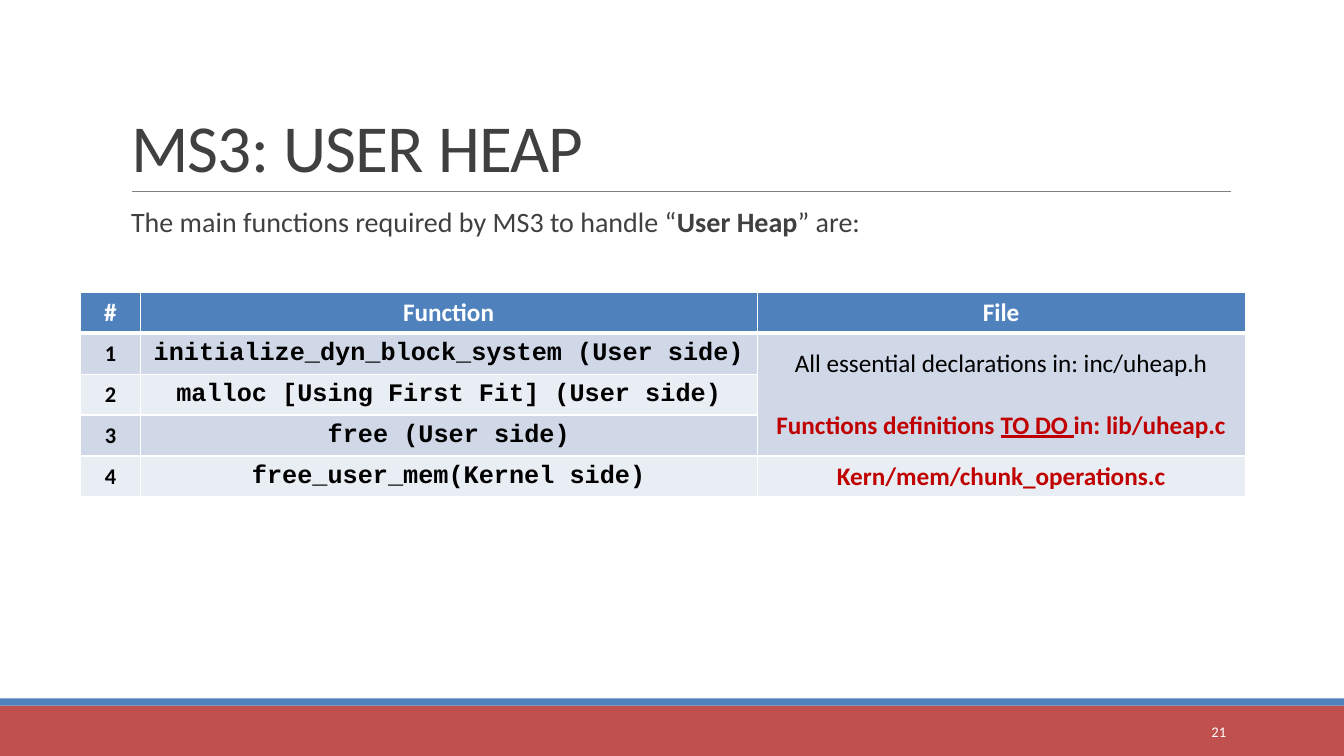
from lxml import etree
from pptx import Presentation
from pptx.dml.color import RGBColor
from pptx.enum.shapes import MSO_CONNECTOR, MSO_SHAPE
from pptx.enum.text import MSO_ANCHOR, MSO_AUTO_SIZE, PP_ALIGN
from pptx.oxml.ns import qn
from pptx.util import Inches, Pt

RECTANGLE = MSO_SHAPE.RECTANGLE
STRAIGHT = MSO_CONNECTOR.STRAIGHT
TOP, MIDDLE, BOTTOM = MSO_ANCHOR.TOP, MSO_ANCHOR.MIDDLE, MSO_ANCHOR.BOTTOM
LEFT, CENTER, RIGHT = PP_ALIGN.LEFT, PP_ALIGN.CENTER, PP_ALIGN.RIGHT
NO_AUTOFIT = MSO_AUTO_SIZE.NONE

BLUE, RED, DARK_RED = "4F81BD", "C0504D", "C00000"
WHITE, BLACK, DARK_GRAY, GRAY = "FFFFFF", "000000", "404040", "808080"
BANDS = ("D0D8E8", "E9EDF4")
BODY_FONT, CODE_FONT = "Calibri", "Courier New"

SLIDE_WIDTH = 13.33
COLUMN_WIDTHS = (0.59, 6.12, 4.84)
TABLE_HEIGHT = 2.03
HEADERS = ("#", "Function", "File")
FUNCTIONS = (
    "initialize_dyn_block_system (User side)",
    "malloc [Using First Fit] (User side)",
    "free (User side)",
    "free_user_mem(Kernel side)",
)


def color(hex_code):
    """Turn a hex string into a colour."""
    return RGBColor.from_string(hex_code)


def add_run(paragraph, text, size, hex_code, bold=False, font=BODY_FONT, underline=False):
    """Append a formatted run and return it."""
    run = paragraph.add_run()
    run.text = text
    run.font.name = font
    run.font.size = Pt(size)
    run.font.bold = bold
    run.font.underline = underline
    run.font.color.rgb = color(hex_code)
    return run


def place(shape, left, top, width, height):
    """Move and size a shape, in inches."""
    shape.left, shape.top = Inches(left), Inches(top)
    shape.width, shape.height = Inches(width), Inches(height)


def add_band(slide, top, height, hex_code):
    """Draw a full-width footer band."""
    band = slide.shapes.add_shape(
        RECTANGLE, 0, Inches(top), Inches(SLIDE_WIDTH), Inches(height))
    band.shadow.inherit = False
    band.fill.solid()
    band.fill.fore_color.rgb = color(hex_code)
    band.line.fill.background()


def add_title_rule(slide):
    """Draw the thin line below the title."""
    rule = slide.shapes.add_connector(
        STRAIGHT, Inches(1.31), Inches(1.9), Inches(12.21), Inches(1.9))
    rule.line.color.rgb = color(GRAY)
    rule.line.width = Pt(0.5)
    etree.SubElement(rule._element.spPr, qn("a:effectLst"))


def fill_title(slide):
    """Place and write the title."""
    title = slide.shapes.title
    place(title, 1.2, 0.31, 12.13, 1.59)
    frame = title.text_frame
    frame.word_wrap = True
    frame.auto_size = NO_AUTOFIT
    frame.vertical_anchor = BOTTOM
    heading = frame.paragraphs[0]
    heading.alignment = LEFT
    heading.line_spacing = 0.85
    run = add_run(heading, "MS3: USER HEAP", 48, DARK_GRAY)
    run.font._element.set("spc", "-50")


def fill_body(slide):
    """Place and write the introductory sentence."""
    body = slide.placeholders[1]
    place(body, 1.2, 2.02, 11, 4.4)
    frame = body.text_frame
    frame.word_wrap = True
    frame.auto_size = NO_AUTOFIT
    frame.vertical_anchor = TOP
    frame.margin_left = frame.margin_right = 0
    intro = frame.paragraphs[0]
    properties = intro._p.get_or_add_pPr()
    properties.set("marL", str(Inches(0.1)))
    properties.set("indent", "0")
    etree.SubElement(properties, qn("a:buNone"))
    intro.alignment = LEFT
    intro.line_spacing = 0.9
    intro.space_before = Pt(0)
    intro.space_after = Pt(2)
    add_run(intro, "The main functions required by MS3 to handle “", 20, DARK_GRAY)
    add_run(intro, "User Heap", 20, DARK_GRAY, bold=True)
    add_run(intro, "” are:", 20, DARK_GRAY)


def add_slide_number(slide):
    """Write the slide number in the footer."""
    box = slide.shapes.add_textbox(
        Inches(10.83), Inches(7.06), Inches(1.43), Inches(0.4))
    frame = box.text_frame
    frame.word_wrap = True
    frame.vertical_anchor = MIDDLE
    number = frame.paragraphs[0]
    number.alignment = RIGHT
    add_run(number, "21", 10.5, WHITE)


def style_cell(cell, hex_code, top_width=1, bottom_width=1):
    """Give a cell white borders and a solid fill."""
    properties = cell._tc.get_or_add_tcPr()
    widths = {"a:lnL": 1, "a:lnR": 1, "a:lnT": top_width, "a:lnB": bottom_width}
    for tag, width in widths.items():
        border = etree.SubElement(properties, qn(tag), w=str(Pt(width)))
        solid = etree.SubElement(border, qn("a:solidFill"))
        etree.SubElement(solid, qn("a:srgbClr"), val=WHITE)
    cell.fill.solid()
    cell.fill.fore_color.rgb = color(hex_code)


def write_cell(cell, text, size, hex_code, bold=True, font=BODY_FONT, anchor=MIDDLE):
    """Write one centred line in a cell."""
    cell.vertical_anchor = anchor
    line = cell.text_frame.paragraphs[0]
    line.alignment = CENTER
    add_run(line, text, size, hex_code, bold, font)


def write_user_files(cell):
    """Write the file notes shared by the user-side functions."""
    write_cell(cell, "All essential declarations in: inc/uheap.h", 18, BLACK, bold=False)
    definitions = cell.text_frame.add_paragraph()
    definitions.alignment = CENTER
    definitions.space_before = Pt(22)
    add_run(definitions, "Functions definitions ", 18, DARK_RED, bold=True)
    add_run(definitions, "TO DO ", 18, DARK_RED, bold=True, underline=True)
    add_run(definitions, "in: lib/uheap.c", 18, DARK_RED, bold=True)


def add_function_table(slide):
    """Build the table of functions and their files."""
    row_count = len(FUNCTIONS) + 1
    table = slide.shapes.add_table(
        row_count, len(HEADERS), Inches(0.8), Inches(2.9),
        Inches(sum(COLUMN_WIDTHS)), Inches(TABLE_HEIGHT)).table
    for column, width in zip(table.columns, COLUMN_WIDTHS):
        column.width = Inches(width)
    for row in table.rows:
        row.height = Inches(TABLE_HEIGHT / row_count)

    for column, header in enumerate(HEADERS):
        style_cell(table.cell(0, column), BLUE, bottom_width=3)
        write_cell(table.cell(0, column), header, 18, WHITE, anchor=TOP)
    for number, function in enumerate(FUNCTIONS, 1):
        for column in range(len(HEADERS)):
            style_cell(table.cell(number, column), BANDS[(number - 1) % 2],
                       top_width=3 if number == 1 else 1)
        write_cell(table.cell(number, 0), str(number), 16, BLACK)
        write_cell(table.cell(number, 1), function, 18, BLACK, font=CODE_FONT)

    table.cell(1, 2).merge(table.cell(3, 2))
    write_user_files(table.cell(1, 2))
    write_cell(table.cell(4, 2), "Kern/mem/chunk_operations.c", 18, DARK_RED)


def main():
    """Build and save the slide."""
    deck = Presentation()
    deck.slide_width, deck.slide_height = Inches(SLIDE_WIDTH), Inches(7.5)
    slide = deck.slides.add_slide(deck.slide_layouts[1])
    add_band(slide, 7, 0.5, RED)
    add_band(slide, 6.93, 0.07, BLUE)
    add_title_rule(slide)
    fill_title(slide)
    fill_body(slide)
    add_slide_number(slide)
    add_function_table(slide)
    deck.save("out.pptx")


if __name__ == "__main__":
    main()
